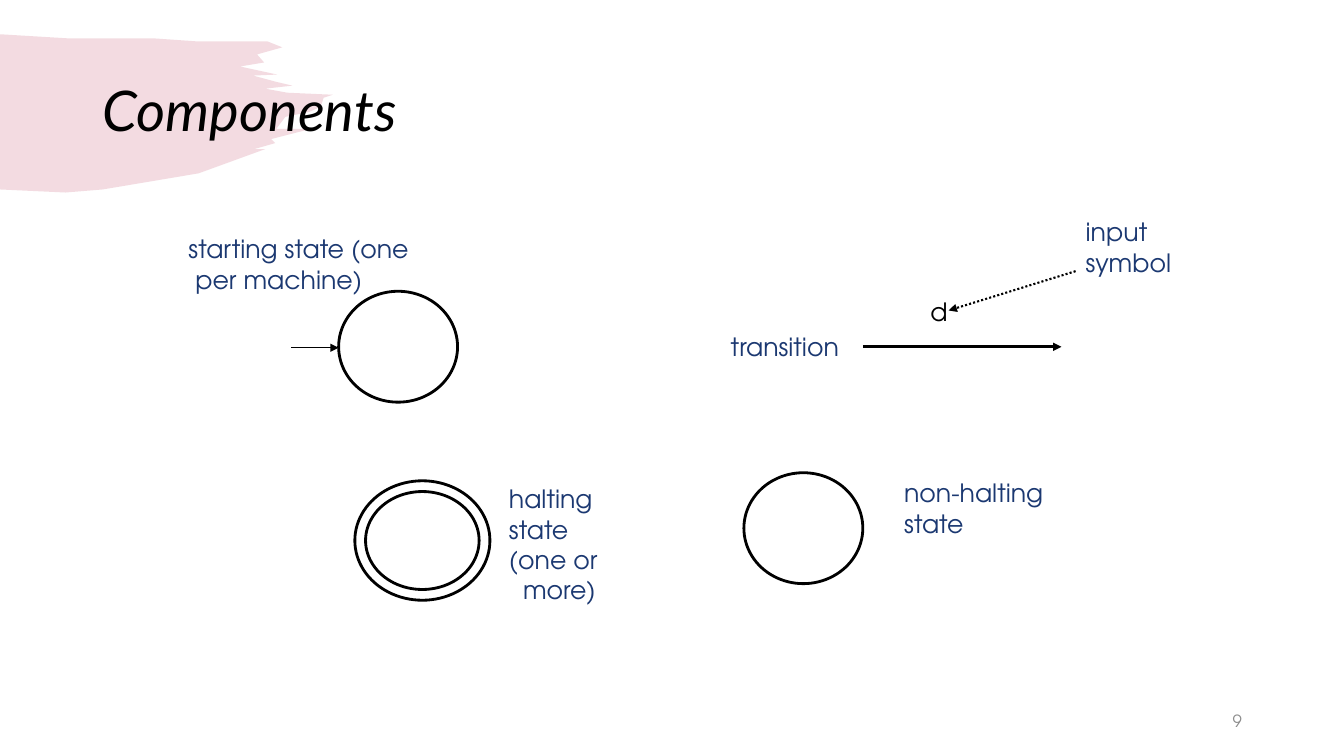
from lxml.etree import SubElement
from pptx import Presentation
from pptx.dml.color import RGBColor
from pptx.enum.dml import MSO_LINE
from pptx.enum.shapes import MSO_CONNECTOR, MSO_SHAPE
from pptx.enum.text import MSO_ANCHOR, MSO_AUTO_SIZE, PP_ALIGN
from pptx.oxml.ns import qn
from pptx.util import Inches, Pt

COLORS = {"ink": "000000", "label": "1B3871", "number": "8C8C8C", "brush": "C34D6C"}
BODY_FONT = "TeX Gyre Adventor"
SPACE_WIDTH = 0.07

TITLE = ("Components", (6.9, 5.33, 86.25, 19.33))
NUMBER = ("9", (70.65, 92.67, 22.5, 5.33))

LABELS = [
    (["transition"], (53.63, 43.2), 9.68, "label", 0),
    (["d"], (68.48, 38.53), 2.78, "ink", 0),
    (["input", "symbol"], (80.03, 28), 7.95, "label", 0),
    (["halting", "state", "(one or", "more)"], (37.13, 63.33), 8.7, "label", 2),
    (["non-halting", "state"], (66.53, 62.53), 11.93, "label", 0),
    (["starting state (one", "per machine)"], (13.28, 30.27), 18.08, "label", 1),
]
LINE_SHARE = 4.04
INSET_SHARE = 1.33

CIRCLE = (8.85, 14.67)
RING = (10.05, 15.8)
RING_SHARE = 0.09
STATES = [
    (MSO_SHAPE.OVAL, (25.2, 38.53), CIRCLE),
    (MSO_SHAPE.OVAL, (55.35, 62.53), CIRCLE),
    (MSO_SHAPE.DONUT, (26.4, 63.6), RING),
]

ARROWS = [
    ((21.68, 46), (25.2, 46), 0.75, None),
    ((64.2, 45.87), (78.98, 45.87), 2, None),
    ((80.03, 35.87), (70.58, 41.07), 1.5, MSO_LINE.ROUND_DOT),
]

BRUSH_OUTLINE = [
    (0, 0.34), (0.66, 0.38), (1.51, 0.38), (1.94, 0.41), (2.65, 0.41), (2.8, 0.47),
    (2.55, 0.54), (2.62, 0.62), (2.38, 0.66), (2.75, 0.74), (2.51, 0.75),
    (2.73, 0.81), (2.9, 0.85), (2.63, 0.88), (2.85, 0.92), (3.3, 0.94),
    (3.21, 0.97), (3.18, 1.06), (3.07, 1.11), (2.83, 1.16), (2.74, 1.28),
    (3.08, 1.28), (2.69, 1.38), (2.73, 1.42), (2.52, 1.48), (2.63, 1.48),
    (1.97, 1.72), (1.02, 1.88), (0.65, 1.91), (0, 1.88),
]

deck = Presentation()
deck.slide_width, deck.slide_height = Inches(13.33), Inches(7.5)
slide = deck.slides.add_slide(deck.slide_layouts[6])


def color(name):
    return RGBColor.from_string(COLORS[name])


def place(shares):
    sides = (deck.slide_width, deck.slide_height) * 2
    return [round(side * share / 100) for side, share in zip(sides, shares)]


def apply(target, formats):
    for name, value in formats.items():
        setattr(target, name, value)


def add_text(lines, area, ink, frame_formats, line_formats, font_formats, last_spaces=0):
    frame = slide.shapes.add_textbox(*place(area)).text_frame
    apply(frame, frame_formats)
    for row, words in enumerate(lines):
        line = frame.add_paragraph() if row else frame.paragraphs[0]
        line.text = words
        apply(line, line_formats)
        apply(line.runs[0].font, font_formats)
        line.runs[0].font.color.rgb = color(ink)
    if last_spaces:
        line._p.get_or_add_pPr().set("marL", str(Inches(last_spaces * SPACE_WIDTH)))


def add_brush():
    points = [tuple(map(Inches, point)) for point in BRUSH_OUTLINE]
    outline = slide.shapes.build_freeform(*points[0])
    outline.add_line_segments(points[1:])
    brush = outline.convert_to_shape()
    brush.shadow.inherit = False
    brush.line.fill.background()
    brush.fill.solid()
    brush.fill.fore_color.rgb = color("brush")
    tint = brush._element.spPr.find(".//" + qn("a:srgbClr"))
    SubElement(tint, qn("a:alpha"), val="20000")


def add_state(outline, corner, size):
    state = slide.shapes.add_shape(outline, *place(corner + size))
    state.shadow.inherit = False
    state.fill.background()
    state.line.color.rgb = color("ink")
    state.line.width = Pt(2)
    if outline == MSO_SHAPE.DONUT:
        state.adjustments[0] = RING_SHARE


def add_arrow(tail, head, weight, dash):
    arrow = slide.shapes.add_connector(MSO_CONNECTOR.STRAIGHT, *place(tail + head))
    arrow.line.color.rgb = color("ink")
    apply(arrow.line, {"width": Pt(weight), "dash_style": dash})
    SubElement(arrow.line._get_or_add_ln(), qn("a:tailEnd"), type="triangle")
    SubElement(arrow._element.spPr, qn("a:effectLst"))


def add_label(lines, corner, width, ink, last_spaces):
    height = len(lines) * LINE_SHARE + INSET_SHARE
    add_text(lines, corner + (width, height), ink,
             {"word_wrap": False, "auto_size": MSO_AUTO_SIZE.SHAPE_TO_FIT_TEXT},
             {"alignment": PP_ALIGN.LEFT}, {"name": BODY_FONT, "size": Pt(18)},
             last_spaces)


add_brush()
MIDDLE = {"word_wrap": True, "vertical_anchor": MSO_ANCHOR.MIDDLE}
add_text([TITLE[0]], TITLE[1], "ink", MIDDLE, {"line_spacing": 0.9},
         {"name": "Lato", "size": Pt(40), "italic": True})
add_text([NUMBER[0]], NUMBER[1], "number", MIDDLE, {"alignment": PP_ALIGN.RIGHT},
         {"name": BODY_FONT, "size": Pt(12)})
for state_parts in STATES:
    add_state(*state_parts)
for arrow_parts in ARROWS:
    add_arrow(*arrow_parts)
for label_parts in LABELS:
    add_label(*label_parts)

deck.save("out.pptx")
